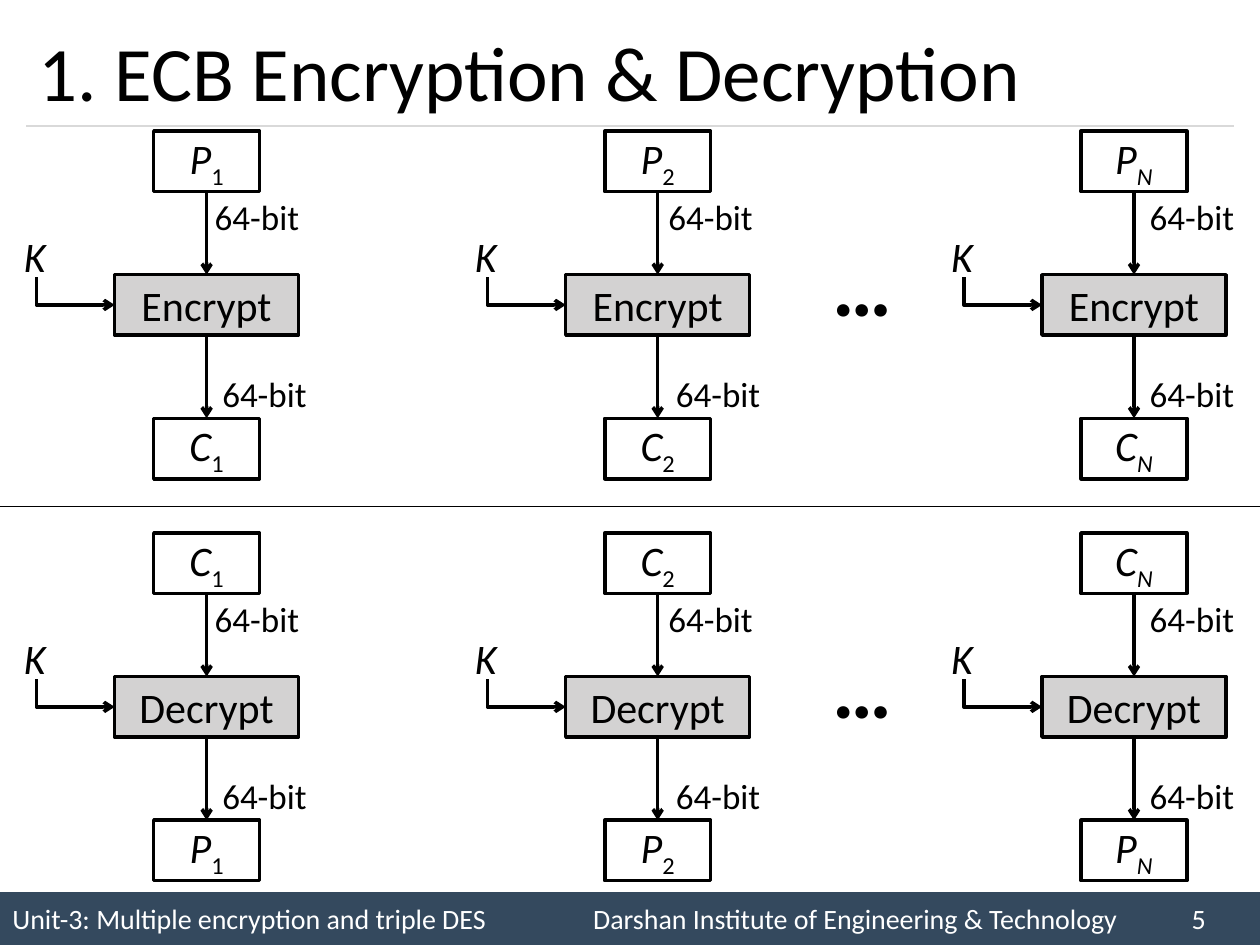
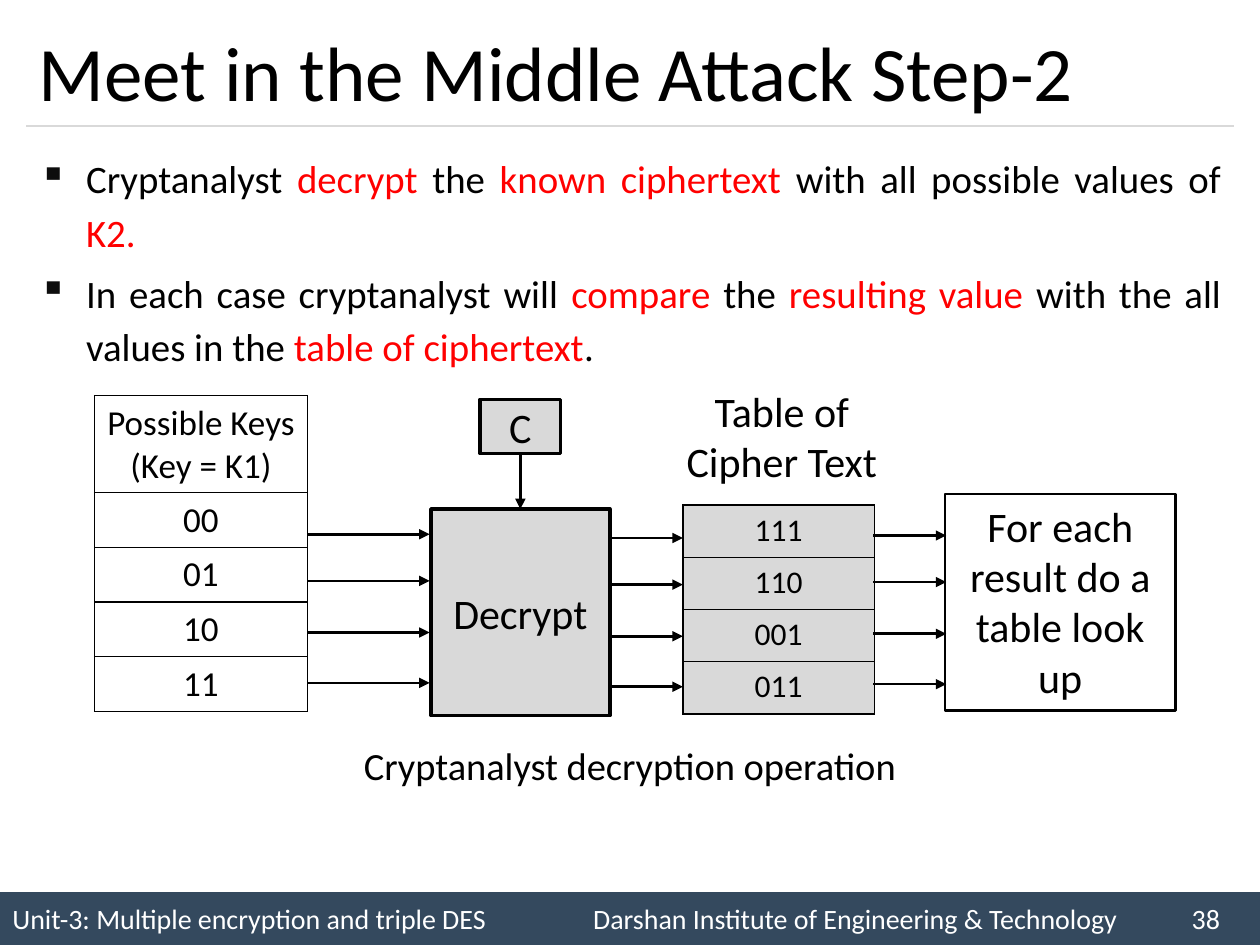
from lxml.etree import SubElement
from pptx import Presentation
from pptx.dml.color import RGBColor
from pptx.enum.shapes import MSO_CONNECTOR, MSO_SHAPE
from pptx.enum.text import MSO_ANCHOR, PP_ALIGN
from pptx.oxml.ns import qn
from pptx.util import Inches, Pt

RECTANGLE = MSO_SHAPE.RECTANGLE
STRAIGHT = MSO_CONNECTOR.STRAIGHT
LEFT, CENTER, JUSTIFY = PP_ALIGN.LEFT, PP_ALIGN.CENTER, PP_ALIGN.JUSTIFY
TOP, MIDDLE = MSO_ANCHOR.TOP, MSO_ANCHOR.MIDDLE
BLACK = RGBColor(0x00, 0x00, 0x00)
WHITE = RGBColor(0xFF, 0xFF, 0xFF)
RED = RGBColor(0xFF, 0x00, 0x00)
NAVY = RGBColor(0x34, 0x49, 0x5E)
RULE_GRAY = RGBColor(0xD9, 0xD9, 0xD9)
CIPHER_GRAY = RGBColor(0xD3, 0xD2, 0xD2)
FONT = "Calibri"
SLIDE_WIDTH, SLIDE_HEIGHT = Inches(10), Inches(7.5)
CELL = SLIDE_WIDTH // 100


def add_box(slide, left, top, width, height, text, size, align=CENTER, anchor=MIDDLE,
            fill=None, weight=0, color=BLACK, italic=False, bold=False):
    frame = [round(value * CELL) for value in (left, top, width, height)]
    if fill is not None or weight:
        shape = slide.shapes.add_shape(RECTANGLE, *frame)
        shape.shadow.inherit = False
        if fill is None:
            shape.fill.background()
        else:
            shape.fill.solid()
            shape.fill.fore_color.rgb = fill
        if weight:
            shape.line.color.rgb = BLACK
            shape.line.width = Pt(weight)
        else:
            shape.line.fill.background()
    else:
        shape = slide.shapes.add_textbox(*frame)
    text_frame = shape.text_frame
    text_frame.word_wrap = True
    text_frame.vertical_anchor = anchor
    text_frame.text = text
    paragraph = text_frame.paragraphs[0]
    paragraph.alignment = align
    for run in paragraph.runs:
        run.font.name, run.font.size = FONT, Pt(size)
        run.font.color.rgb = color
        run.font.italic, run.font.bold = italic, bold
    return shape


def add_line(slide, points, weight, head=None, color=BLACK):
    points = [(round(x * CELL), round(y * CELL)) for x, y in points]
    if len(points) == 2:
        line = slide.shapes.add_connector(STRAIGHT, *points[0], *points[1])
    else:
        builder = slide.shapes.build_freeform(*points[0])
        builder.add_line_segments(points[1:], close=False)
        line = builder.convert_to_shape()
        line.fill.background()
    line.line.color.rgb = color
    line.line.width = Pt(weight)
    properties = line.element.spPr
    if head:
        SubElement(properties.find(qn("a:ln")), qn("a:tailEnd"), type=head)
    SubElement(properties, qn("a:effectLst"))
    return line


presentation = Presentation()
presentation.slide_width, presentation.slide_height = SLIDE_WIDTH, SLIDE_HEIGHT
blank_layout = presentation.slide_layouts[6]

slides = []
for title, number in (("1. ECB Encryption & Decryption", 5),
                      ("Meet in the Middle Attack Step-2", 38)):
    slide = presentation.slides.add_slide(blank_layout)
    footer_text = ("Unit-3: Multiple encryption and triple DES\t"
                   f"Darshan Institute of Engineering & Technology\t{number}")
    footer = add_box(slide, 0, 70.8, 100, 4.2, footer_text, 16, LEFT, fill=NAVY, color=WHITE)
    tabs = SubElement(footer.text_frame.paragraphs[0]._p.get_or_add_pPr(), qn("a:tabLst"))
    for position in (46.1, 93.6):
        SubElement(tabs, qn("a:tab"), pos=str(round(position * CELL)), algn="l")
    add_line(slide, [(2.1, 10), (97.9, 10)], 0.75, color=RULE_GRAY)
    add_box(slide, 2.1, 1.2, 95.8, 8.8, title, 44, LEFT)
    slides.append(slide)

ecb_slide, attack_slide = slides

ecb_columns = ((9.1, "1", 6.6, 7.2), (44.9, "2", 6.8, 7.4), (82.7, "N", 7.2, 7.2))
for top, operation, source, result in ((10.4, "Encrypt", "P", "C"), (42.3, "Decrypt", "C", "P")):
    cipher_top = top + 11.4
    for left, index, upper_label, lower_label in ecb_columns:
        cipher = add_box(ecb_slide, left, cipher_top, 14.6, 4.8, operation, 24,
                         fill=CIPHER_GRAY, weight=2)
        blocks = []
        for letter, block_top in ((source, top), (result, top + 22.8)):
            block = add_box(ecb_slide, left + 3.1, block_top, 8.4, 4.8, letter, 24,
                            fill=WHITE, weight=2, italic=True)
            run = block.text_frame.paragraphs[0].add_run()
            run.text = index
            run.font.name, run.font.size = FONT, Pt(24)
            run.font.color.rgb = BLACK
            run.font.italic = index == "N"
            run._r.get_or_add_rPr().set("baseline", "-25000")
            blocks.append(block)
        for start, end in ((blocks[0], cipher), (cipher, blocks[1])):
            arrow = add_line(ecb_slide, [(left, top), (left, top)], 2, "arrow")
            arrow.begin_connect(start, 2)
            arrow.end_connect(end, 0)
        key_x, key_y = left - 6.2, cipher_top + 2.4
        add_line(ecb_slide, [(key_x, key_y - 2.2), (key_x, key_y), (left, key_y)], 2, "arrow")
        add_box(ecb_slide, left - 8.2, top + 7.4, 3.9, 5, "K", 24, LEFT, TOP, italic=True)
        for offset, label_top in ((upper_label, top + 4.6), (lower_label, top + 18.7)):
            add_box(ecb_slide, left + offset, label_top, 9.4, 4.4, "64-bit", 20, anchor=TOP)
    add_box(ecb_slide, 65.1, top + 7.6, 7.1, 9.1, "…", 48, LEFT, TOP, bold=True)
add_line(ecb_slide, [(0, 40.2), (100, 40.2)], 0.75)

bullets = (
    (("Cryptanalyst ", BLACK), ("decrypt", RED), (" the ", BLACK), ("known ciphertext ", RED),
     ("with all possible values of ", BLACK), ("K2.", RED)),
    (("In each case cryptanalyst will ", BLACK), ("compare", RED), (" the ", BLACK),
     ("resulting value ", RED), ("with the all values in the ", BLACK),
     ("table of ciphertext", RED), (".", BLACK)),
)
body = add_box(attack_slide, 2.1, 11.3, 95.8, 15.5, "", 22.2, anchor=TOP).text_frame
for number, segments in enumerate(bullets):
    paragraph = body.add_paragraph() if number else body.paragraphs[0]
    properties = paragraph._p.get_or_add_pPr()
    properties.set("marL", str(round(3.75 * CELL)))
    properties.set("indent", str(round(-3.75 * CELL)))
    bullet_color = SubElement(properties, qn("a:buClr"))
    SubElement(bullet_color, qn("a:srgbClr"), val="0D0D0D")
    SubElement(properties, qn("a:buChar"), char="▪")
    paragraph.alignment = JUSTIFY
    paragraph.line_spacing = 1.14
    if number:
        paragraph.space_before = Pt(4.5)
    for text, color in segments:
        run = paragraph.add_run()
        run.text = text
        run.font.name, run.font.size = FONT, Pt(22.2)
        run.font.color.rgb = color

tables = (
    (7.5, 31.4, 16.9, (7.7, 4.33, 4.33, 4.33, 4.33), 20, WHITE,
     ("Possible Keys\n(Key = K1)", "00", "01", "10", "11")),
    (54.2, 40.1, 15.2, (4.14,) * 4, 18, RULE_GRAY, ("111", "110", "001", "011")),
)
for left, top, width, heights, size, fill, values in tables:
    frame = [round(value * CELL) for value in (left, top, width, sum(heights))]
    table = attack_slide.shapes.add_table(len(values), 1, *frame).table
    table.first_row = table.horz_banding = False
    for row, (height, value) in enumerate(zip(heights, values)):
        table.rows[row].height = round(height * CELL)
        cell = table.cell(row, 0)
        cell.text_frame.text = value
        for paragraph in cell.text_frame.paragraphs:
            paragraph.alignment = CENTER
            font = paragraph.runs[0].font
            font.name, font.size = FONT, Pt(size)
            font.color.rgb = BLACK
        cell_properties = cell._tc.get_or_add_tcPr()
        for side in ("lnL", "lnR", "lnT", "lnB"):
            border = SubElement(cell_properties, qn(f"a:{side}"), w=str(Pt(1)))
            border_fill = SubElement(border, qn("a:solidFill"))
            SubElement(border_fill, qn("a:srgbClr"), val=str(BLACK))
        cell.fill.solid()
        cell.fill.fore_color.rgb = fill

decrypt = add_box(attack_slide, 34.2, 40.4, 14.2, 16.4, "Decrypt", 24, fill=RULE_GRAY, weight=2)
ciphertext = add_box(attack_slide, 38.1, 31.7, 6.4, 4.3, "C", 24, fill=RULE_GRAY, weight=2)
add_box(attack_slide, 52.8, 30.1, 18.5, 9.1, "Table of Cipher Text", 24, anchor=TOP)
add_box(attack_slide, 27.8, 58.4, 44.4, 4.7, "Cryptanalyst decryption operation", 22, anchor=TOP)
add_box(attack_slide, 75, 39.2, 18.3, 17.2, "For each result do a table look up", 24,
        anchor=TOP, weight=1.5)

for start, end, shift in ((24.4, 34.1, 0), (48.4, 54.2, 0.3), (69.3, 75.1, 0.1)):
    for y in (42.4, 46.1, 50.2, 54.2):
        add_line(attack_slide, [(start, y + shift), (end, y + shift)], 1.5, "triangle")
feed = add_line(attack_slide, [(41.3, 36), (41.3, 40.4)], 1.5, "triangle")
feed.begin_connect(ciphertext, 2)
feed.end_connect(decrypt, 0)

presentation.save("out.pptx")
